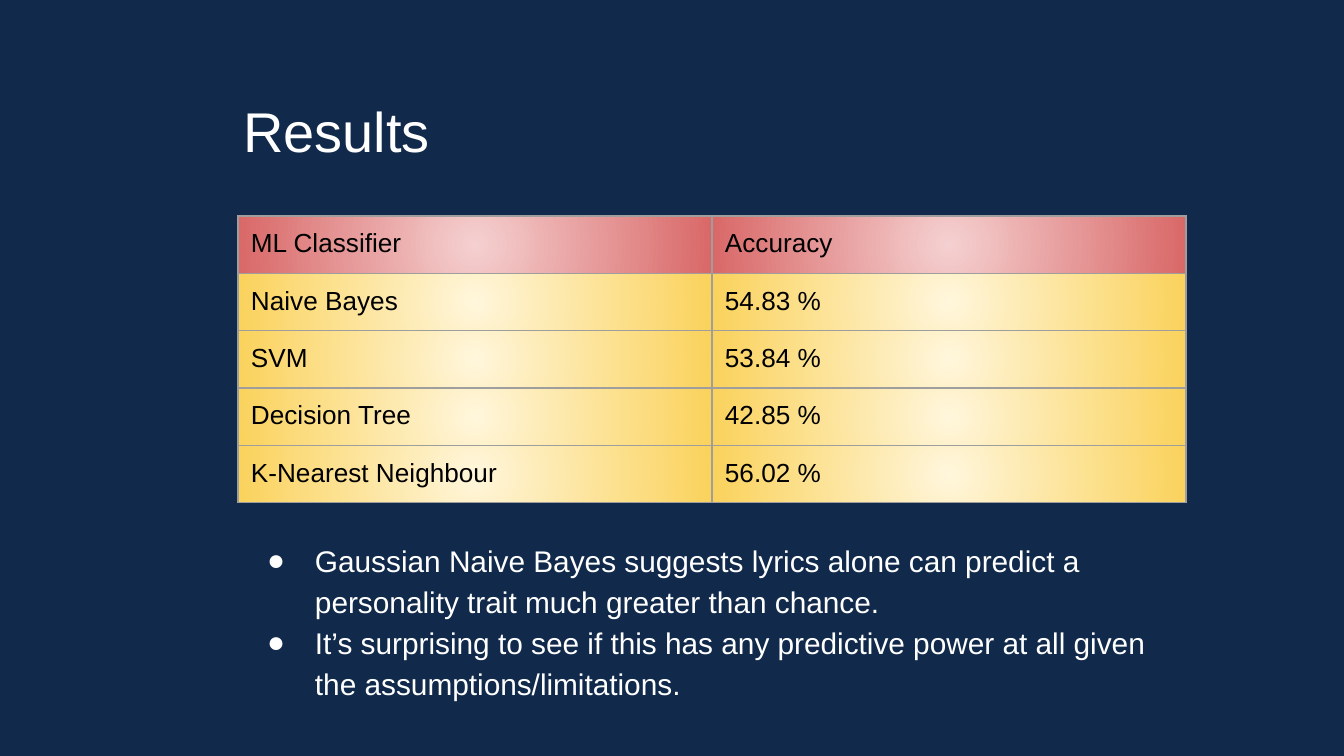
"""Build the classifier results slide."""
from pptx import Presentation
from pptx.dml.color import RGBColor as Rgb
from pptx.enum.text import MSO_ANCHOR as Anchor, MSO_AUTO_SIZE as Fit, PP_ALIGN as Align
from pptx.oxml import parse_xml as to_xml
from pptx.util import Emu, Pt

HUES = {"navy": "11294A", "white": "FFFFFF", "black": "000000", "grid": "9E9E9E",
        "blush": "F5D0D0", "red": "D96868", "cream": "FFF6DB", "gold": "FAD25C"}
FONT = "Arial"
NS = 'xmlns:a="http://schemas.openxmlformats.org/drawingml/2006/main"'
WIDE, HIGH, PAD = 1344, 756, 13
ROWS = [("ML Classifier", "Accuracy"), ("Naive Bayes", "54.83 %"), ("SVM", "53.84 %"),
        ("Decision Tree", "42.85 %"), ("K-Nearest Neighbour", "56.02 %")]
NOTES = ["Gaussian Naive Bayes suggests lyrics alone can predict a personality trait "
         "much greater than chance.",
         "It’s surprising to see if this has any predictive power at all given "
         "the assumptions/limitations."]


def px(num):
    """Turn slide pixels into EMU."""
    return Emu(round(num * 914400 / 134.4))


def write(para, text, size=14, hue="black", space=None):
    """Put formatted text in a paragraph."""
    para.alignment = Align.LEFT
    if space:
        para.line_spacing = space
    run = para.add_run()
    run.text = text
    run.font.name, run.font.size = FONT, Pt(size)
    run.font.color.rgb = Rgb.from_string(HUES[hue])


def inset(item):
    """Give a frame or cell equal margins."""
    item.margin_left = item.margin_right = item.margin_top = item.margin_bottom = px(PAD)


class Deck:
    """Hold the style and the current slide."""

    def __init__(self):
        """Open a title-only slide on navy."""
        self.show = Presentation()
        self.show.slide_width, self.show.slide_height = px(WIDE), px(HIGH)
        self.slide = self.show.slides.add_slide(self.show.slide_layouts[5])
        fill = self.slide.background.fill
        fill.solid()
        fill.fore_color.rgb = Rgb.from_string(HUES["navy"])

    def title(self, text, x, y, w, h):
        """Place and format the title."""
        head = self.slide.shapes.title
        head.left, head.top, head.width, head.height = map(px, (x, y, w, h))
        frame = head.text_frame
        frame.auto_size, frame.word_wrap = Fit.NONE, True
        frame.vertical_anchor = Anchor.BOTTOM
        inset(frame)
        write(frame.paragraphs[0], text, size=30, hue="white")

    def table(self, rows, x, y, w, h):
        """Draw a grid with a red head row and gold body rows."""
        shape = self.slide.shapes.add_table(len(rows), len(rows[0]), *map(px, (x, y, w, h)))
        grid = shape.table
        grid.horz_banding = False
        for i, row in enumerate(rows):
            tones = ("cream", "gold") if i else ("blush", "red")
            for j, text in enumerate(row):
                cell = grid.cell(i, j)
                inset(cell)
                write(cell.text_frame.paragraphs[0], text)
                self.paint(cell, *tones)

    def paint(self, cell, core, rim):
        """Add borders and a radial fill to a cell."""
        props = cell._tc.get_or_add_tcPr()
        for side in "LRTB":
            props.append(to_xml(
                f'<a:ln{side} {NS} w="{Pt(0.75)}"><a:solidFill>'
                f'<a:srgbClr val="{HUES["grid"]}"/></a:solidFill></a:ln{side}>'))
        stops = "".join(f'<a:gs pos="{pos}"><a:srgbClr val="{HUES[hue]}"/></a:gs>'
                        for pos, hue in ((0, core), (100000, rim)))
        props.append(to_xml(
            f'<a:gradFill {NS}><a:gsLst>{stops}</a:gsLst><a:path path="circle">'
            '<a:fillToRect l="50000" t="50000" r="50000" b="50000"/></a:path></a:gradFill>'))

    def list(self, items, x, y, w, h):
        """Add a bulleted text box."""
        frame = self.slide.shapes.add_textbox(*map(px, (x, y, w, h))).text_frame
        frame.word_wrap = True
        inset(frame)
        for i, text in enumerate(items):
            para = frame.add_paragraph() if i else frame.paragraphs[0]
            write(para, text, size=16, hue="white", space=1.15)
            props = para._p.get_or_add_pPr()
            props.set("marL", str(px(67)))
            props.set("indent", str(px(-48)))
            props.append(to_xml(
                f'<a:buClr {NS}><a:srgbClr val="{HUES["white"]}"/></a:buClr>'))
            props.append(to_xml(f'<a:buFont {NS} typeface="{FONT}"/>'))
            props.append(to_xml(f'<a:buChar {NS} char="●"/>'))


def main():
    """Build and save the slide."""
    deck = Deck()
    deck.title("Results", 230, 78, 1021, 99)
    deck.list(NOTES, 235, 524, 956, 207)
    deck.table(ROWS, 238, 216, 948, 280)
    deck.show.save("out.pptx")


if __name__ == "__main__":
    main()
